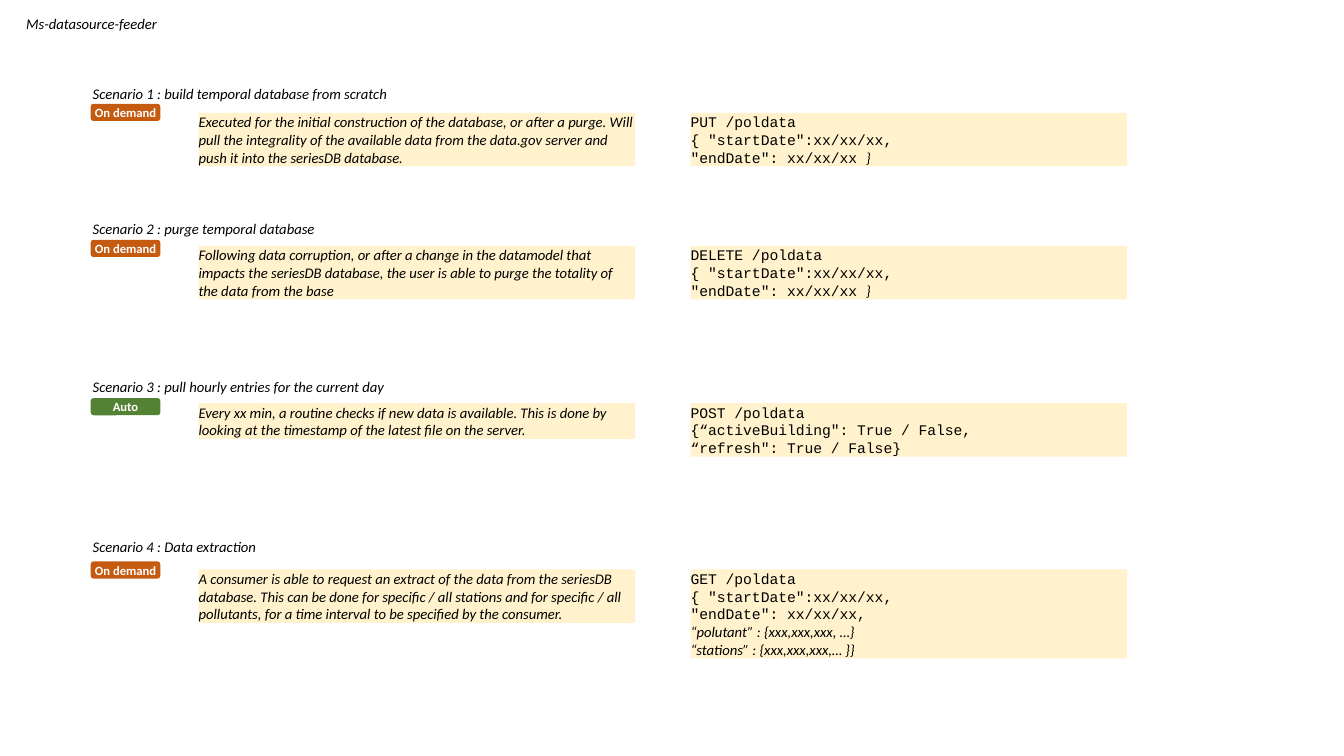
from pptx import Presentation
from pptx.dml.color import RGBColor
from pptx.enum.shapes import MSO_SHAPE
from pptx.enum.text import MSO_ANCHOR, PP_ALIGN
from pptx.util import Inches, Pt

BLACK = RGBColor(0x00, 0x00, 0x00)
WHITE = RGBColor(0xFF, 0xFF, 0xFF)
CREAM = RGBColor(0xFF, 0xF2, 0xCC)
ORANGE = RGBColor(0xC5, 0x5A, 0x11)
GREEN = RGBColor(0x54, 0x82, 0x35)
RECTANGLE, ROUNDED = MSO_SHAPE.RECTANGLE, MSO_SHAPE.ROUNDED_RECTANGLE
LEFT, CENTER = PP_ALIGN.LEFT, PP_ALIGN.CENTER
TOP, MIDDLE = MSO_ANCHOR.TOP, MSO_ANCHOR.MIDDLE

PROSE = {"name": "Calibri", "size": Pt(10.5), "bold": False, "italic": True}
CODE = {"name": "Courier New", "size": Pt(10.5), "bold": False, "italic": False}
BADGE = {"name": "Calibri", "size": Pt(9), "bold": True, "italic": False}

LINE_HEIGHT = 0.53 / 3
BOX_WIDTH = 4.33


def write(shape, paragraphs, color=BLACK, align=LEFT, anchor=TOP, wrap=True):
    """Fill a shape with paragraphs, each a list of (text, format) runs."""
    frame = shape.text_frame
    frame.margin_left = frame.margin_right = frame.margin_top = frame.margin_bottom = 0
    frame.word_wrap = wrap
    frame.vertical_anchor = anchor
    for index, runs in enumerate(paragraphs):
        paragraph = frame.add_paragraph() if index else frame.paragraphs[0]
        paragraph.alignment = align
        for text, font_format in runs:
            run = paragraph.add_run()
            run.text = text
            run.font.color.rgb = color
            for attribute, value in font_format.items():
                setattr(run.font, attribute, value)


def add_box(kind, left, top, width, height, fill):
    shape = slide.shapes.add_shape(
        kind, Inches(left), Inches(top), Inches(width), Inches(height))
    shape.shadow.inherit = False
    shape.fill.solid()
    shape.fill.fore_color.rgb = fill
    shape.line.fill.background()
    return shape


presentation = Presentation()
presentation.slide_width = Inches(13.33)
presentation.slide_height = Inches(7.5)
slide = presentation.slides.add_slide(presentation.slide_layouts[5])

# Title
title = slide.shapes.title
title.left, title.top = Inches(0.26), Inches(0.15)
title.width, title.height = Inches(1.32), Inches(0.18)
write(title, [[("Ms-datasource-feeder", PROSE)]], wrap=False)

# Scenarios: heading, heading top, badge top, box top, trigger,
# description, description line count, request paragraphs
DATE_RANGE = [[('{ "startDate":xx/xx/xx, ', CODE)],
              [('"endDate": xx/xx/xx ', CODE), ("}", PROSE)]]
scenarios = [
    ("Scenario 1 : build temporal database from scratch", 0.84, 1.03, 1.12, "On demand",
     "Executed for the initial construction of the database, or after a purge. "
     "Will pull the integrality of the available data from the data.gov server "
     "and push it into the seriesDB database.", 3,
     [[("PUT /poldata", CODE)], *DATE_RANGE]),
    ("Scenario 2 : purge temporal database", 2.18, 2.38, 2.44, "On demand",
     "Following data corruption, or after a change in the datamodel that impacts "
     "the seriesDB database, the user is able to purge the totality of the data "
     "from the base", 3,
     [[("DELETE /poldata", CODE)], *DATE_RANGE]),
    ("Scenario 3 : pull hourly entries for the current day", 3.75, 3.95, 4.0, "Auto",
     "Every xx min, a routine checks if new data is available. This is done by "
     "looking at the timestamp of the latest file on the server.", 2,
     [[("POST /poldata", CODE)],
      [("{“activeBuilding\": True / False,", CODE)],
      [("“refresh\": True / False}", CODE)]]),
    ("Scenario 4 : Data extraction", 5.34, 5.57, 5.65, "On demand",
     "A consumer is able to request an extract of the data from the seriesDB "
     "database. This can be done for specific / all stations and for specific / "
     "all pollutants, for a time interval to be specified by the consumer.", 3,
     [[("GET /poldata", CODE)],
      DATE_RANGE[0],
      [('"endDate": xx/xx/xx,', CODE)],
      [("“polutant” : {xxx,xxx,xxx, …}", PROSE)],
      [("“stations” : {xxx,xxx,xxx,… }}", PROSE)]]),
]
badge_colors = {"On demand": ORANGE, "Auto": GREEN}

for (heading, heading_top, badge_top, box_top, trigger,
     description, line_count, request) in scenarios:
    heading_box = slide.shapes.add_textbox(
        Inches(0.92), Inches(heading_top), Inches(2.97), Inches(0.18))
    write(heading_box, [[(heading, PROSE)]], wrap=False)

    badge = add_box(ROUNDED, 0.9, badge_top, 0.69, 0.17, badge_colors[trigger])
    write(badge, [[(trigger, BADGE)]], WHITE, CENTER, MIDDLE)

    description_box = add_box(
        RECTANGLE, 1.97, box_top, BOX_WIDTH, line_count * LINE_HEIGHT, CREAM)
    write(description_box, [[(description, PROSE)]], anchor=MIDDLE)

    request_box = add_box(
        RECTANGLE, 6.85, box_top, BOX_WIDTH, len(request) * LINE_HEIGHT, CREAM)
    write(request_box, request, anchor=MIDDLE)

presentation.save("out.pptx")
